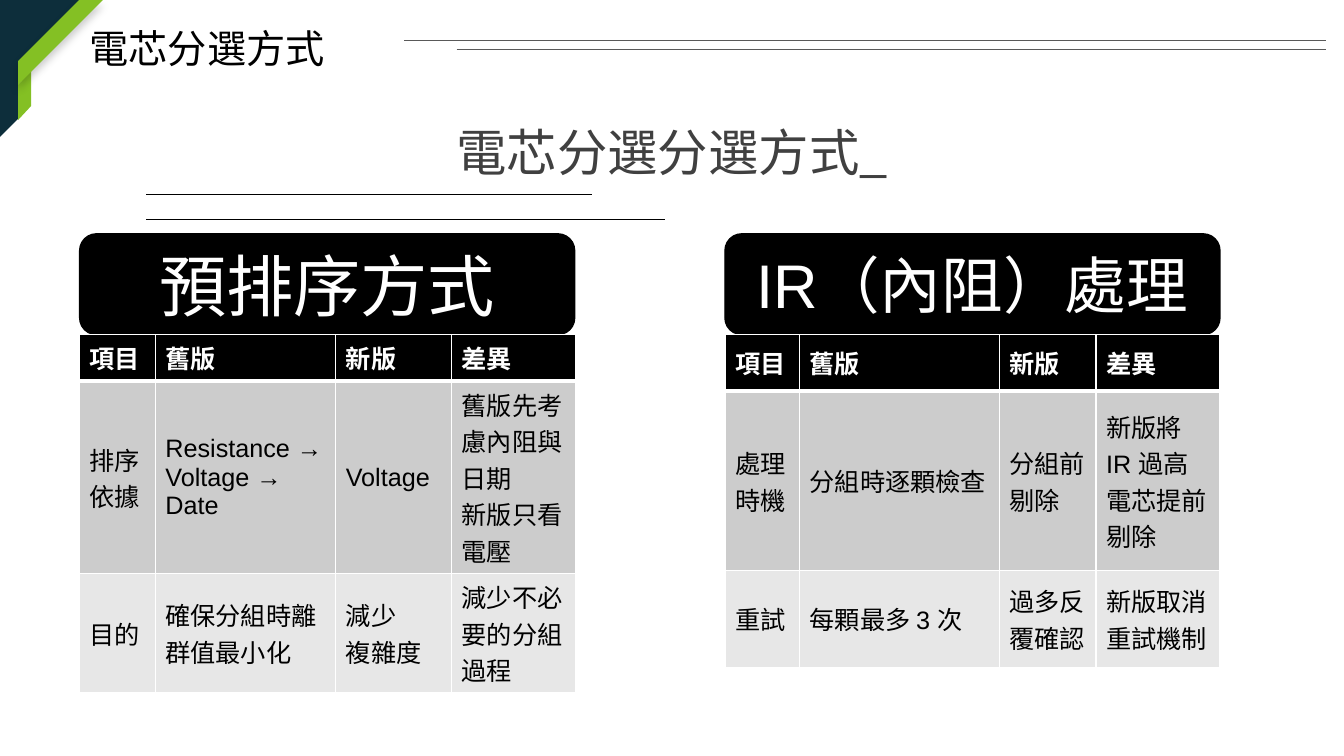
from dataclasses import dataclass

from lxml import etree
from pptx import Presentation
from pptx import util as u
from pptx.dml.color import RGBColor
from pptx.enum import shapes, text
from pptx.oxml import ns

GRID = u.Inches(0.1)
BLACK = RGBColor(0x00, 0x00, 0x00)
WHITE = RGBColor(0xFF, 0xFF, 0xFF)
NAVY = RGBColor(0x0D, 0x2E, 0x3B)
GREEN = RGBColor(0x84, 0xC0, 0x24)
RULE_GRAY = RGBColor(0x59, 0x59, 0x59)
HEADING_GRAY = RGBColor(0x40, 0x40, 0x40)
ROW_COLORS = (BLACK, RGBColor(0xCC, 0xCC, 0xCC), RGBColor(0xE7, 0xE7, 0xE7))
HEADER = ("項目", "舊版", "新版", "差異")
PANEL_WIDTH = 49.1
BANNER_TOP, BANNER_HEIGHT = 23.2, 10


@dataclass(frozen=True)
class Rule:
    left: float
    right: float
    row: float
    color: RGBColor
    weight: float


@dataclass(frozen=True)
class Panel:
    left: float
    title: str
    title_size: int
    columns: tuple[float, ...]
    rows: tuple[float, ...]
    body: tuple[tuple[str, ...], ...]


RULES = (
    Rule(45.3, 131.5, 4.9, RULE_GRAY, 0.75),
    Rule(40.1, 131.5, 4, RULE_GRAY, 0.75),
    Rule(14.5, 66, 21.8, BLACK, 0.5),
    Rule(14.5, 58.7, 19.3, BLACK, 0.5),
)

PANELS = (
    Panel(7.9, "預排序方式", 48, (7.5, 17.9, 11.5, 12.3), (4.6, 19.1, 11.8), (
        ("排序依據", "Resistance → Voltage → Date", "Voltage",
         "舊版先考慮內阻與日期\n新版只看電壓"),
        ("目的", "確保分組時離群值最小化", "減少\n複雜度", "減少不必要的分組過程"),
    )),
    Panel(71.9, "IR（內阻）處理", 44, (7.4, 19.8, 9.6, 12.3), (5.6, 17.8, 9.6), (
        ("處理時機", "分組時逐顆檢查", "分組前剔除", "新版將 IR 過高電芯提前剔除"),
        ("重試", "每顆最多 3 次", "過多反覆確認", "新版取消重試機制"),
    )),
)


def cells(*counts: float) -> list[u.Emu]:
    return [u.Emu(round(count * GRID)) for count in counts]


def write(frame, content: str, *, size: float, color: RGBColor, font: str = "Arial",
          bold: bool = False, align=text.PP_ALIGN.LEFT) -> None:
    frame.text = content
    for paragraph in frame.paragraphs:
        paragraph.alignment = align
        for run in paragraph.runs:
            run.font.name = font
            run.font.size = u.Pt(size)
            run.font.bold = bold
            run.font.color.rgb = color


def paint(shape, color: RGBColor, outline: float = 0) -> None:
    shape.shadow.inherit = False
    shape.fill.solid()
    shape.fill.fore_color.rgb = color
    if outline:
        shape.line.color.rgb = color
        shape.line.width = u.Pt(outline)
    else:
        shape.line.fill.background()


def draw_outline(slide, points: tuple[tuple[float, float], ...], color: RGBColor) -> None:
    corners = [cells(*point) for point in points]
    builder = slide.shapes.build_freeform(*corners[0])
    builder.add_line_segments(corners[1:], close=True)
    paint(builder.convert_to_shape(), color)


def draw_corner(slide) -> None:
    draw_outline(slide, ((0, 0), (8.2, 0), (1.8, 6.4), (1.8, 11.8), (0, 13.6)), NAVY)
    draw_outline(slide, ((3.1, 7), (3.1, 10.5), (1.8, 11.9), (1.8, 8.4)), GREEN)
    stripe = slide.shapes.add_shape(
        shapes.MSO_SHAPE.DIAGONAL_STRIPE, *cells(1.8, 0, 8.4, 8.4))
    stripe.adjustments[0] = 0.72
    paint(stripe, GREEN)
    effects = stripe._element.spPr.find(ns.qn("a:effectLst"))
    shadow = etree.SubElement(effects, ns.qn("a:outerShdw"), blurRad=str(u.Pt(6)),
                              dist=str(u.Pt(4)), dir="5400000", rotWithShape="0")
    tint = etree.SubElement(shadow, ns.qn("a:srgbClr"), val=str(BLACK))
    etree.SubElement(tint, ns.qn("a:alpha"), val="20000")


def draw_rule(slide, rule: Rule) -> None:
    line = slide.shapes.add_connector(
        shapes.MSO_CONNECTOR.STRAIGHT, *cells(rule.left, rule.row, rule.right, rule.row))
    line.line.color.rgb = rule.color
    line.line.width = u.Pt(rule.weight)
    etree.SubElement(line._element.spPr, ns.qn("a:effectLst"))


def draw_text_box(slide, box: tuple[float, ...], content: str, wrap: bool, **style) -> None:
    frame = slide.shapes.add_textbox(*cells(*box)).text_frame
    frame.word_wrap = wrap
    write(frame, content, **style)


def set_borders(cell, **weights: float) -> None:
    properties = cell._tc.get_or_add_tcPr()
    for side, weight in weights.items():
        border = etree.SubElement(properties, ns.qn(f"a:ln{side}"), w=str(u.Pt(weight)))
        fill = etree.SubElement(border, ns.qn("a:solidFill"))
        etree.SubElement(fill, ns.qn("a:srgbClr"), val=str(WHITE))


def draw_table(slide, panel: Panel) -> None:
    table = slide.shapes.add_table(
        len(panel.rows), len(panel.columns),
        *cells(panel.left, BANNER_TOP + BANNER_HEIGHT, PANEL_WIDTH, sum(panel.rows))).table
    table.horz_banding = False
    for column, width in zip(table.columns, cells(*panel.columns)):
        column.width = width
    for row, height in zip(table.rows, cells(*panel.rows)):
        row.height = height
    for row_index, contents in enumerate((HEADER, *panel.body)):
        is_header = row_index == 0
        for column_index, content in enumerate(contents):
            cell = table.cell(row_index, column_index)
            cell.vertical_anchor = text.MSO_ANCHOR.MIDDLE
            set_borders(cell, L=1, R=1, T=3 if row_index == 1 else 1, B=3 if is_header else 1)
            cell.fill.solid()
            cell.fill.fore_color.rgb = ROW_COLORS[row_index]
            write(cell.text_frame, content, size=18, bold=is_header,
                  color=WHITE if is_header else BLACK)


def draw_panel(slide, panel: Panel) -> None:
    banner = slide.shapes.add_shape(
        shapes.MSO_SHAPE.ROUNDED_RECTANGLE,
        *cells(panel.left, BANNER_TOP, PANEL_WIDTH, BANNER_HEIGHT))
    paint(banner, BLACK, outline=1)
    banner.text_frame.word_wrap = True
    banner.text_frame.vertical_anchor = text.MSO_ANCHOR.MIDDLE
    write(banner.text_frame, panel.title, size=panel.title_size, color=WHITE,
          align=text.PP_ALIGN.CENTER)
    draw_table(slide, panel)


def main() -> None:
    presentation = Presentation()
    presentation.slide_width = u.Inches(13.33)
    presentation.slide_height = u.Inches(7.5)
    slide = presentation.slides.add_slide(presentation.slide_layouts[6])
    draw_corner(slide)
    for rule in RULES:
        draw_rule(slide, rule)
    draw_text_box(slide, (7.9, 1.9, 29.5, 5.7), "電芯分選方式", True,
                  size=28, color=BLACK, align=text.PP_ALIGN.JUSTIFY)
    draw_text_box(slide, (27, 11.5, 79.3, 7.3), "電芯分選分選方式_", False, size=36,
                  color=HEADING_GRAY, font="Noto Sans CJK SC", align=text.PP_ALIGN.CENTER)
    for panel in PANELS:
        draw_panel(slide, panel)
    presentation.save("out.pptx")


if __name__ == "__main__":
    main()
